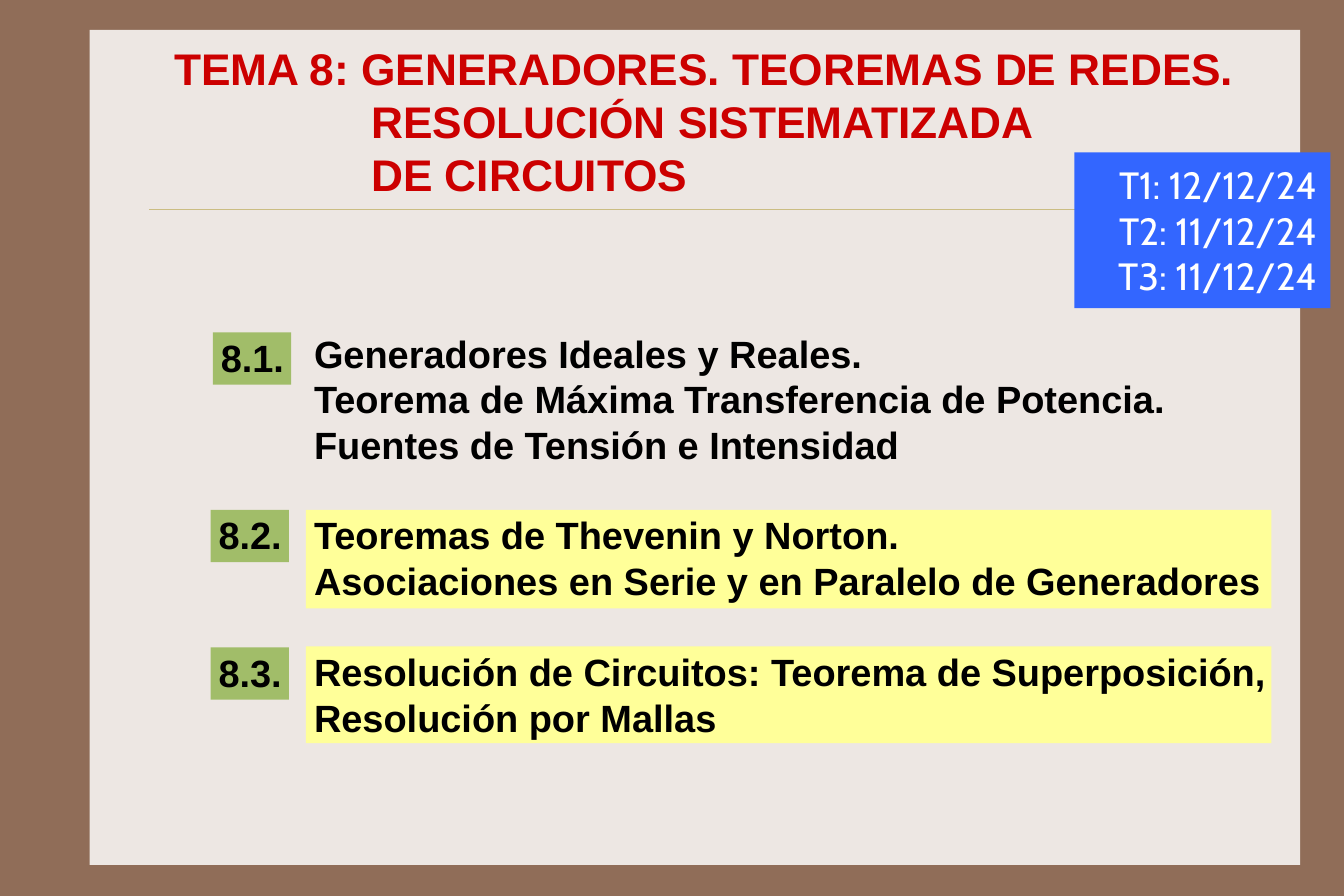
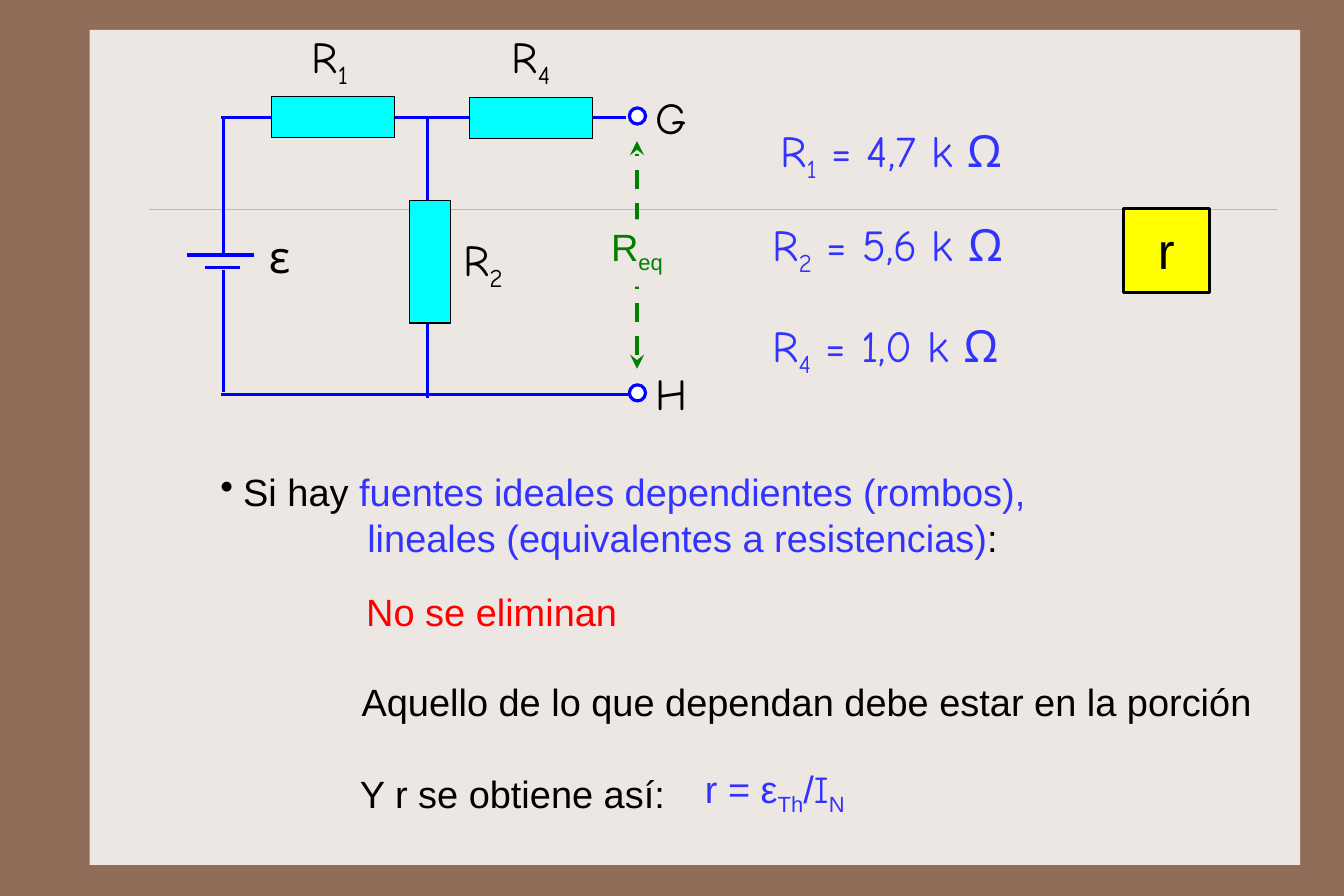
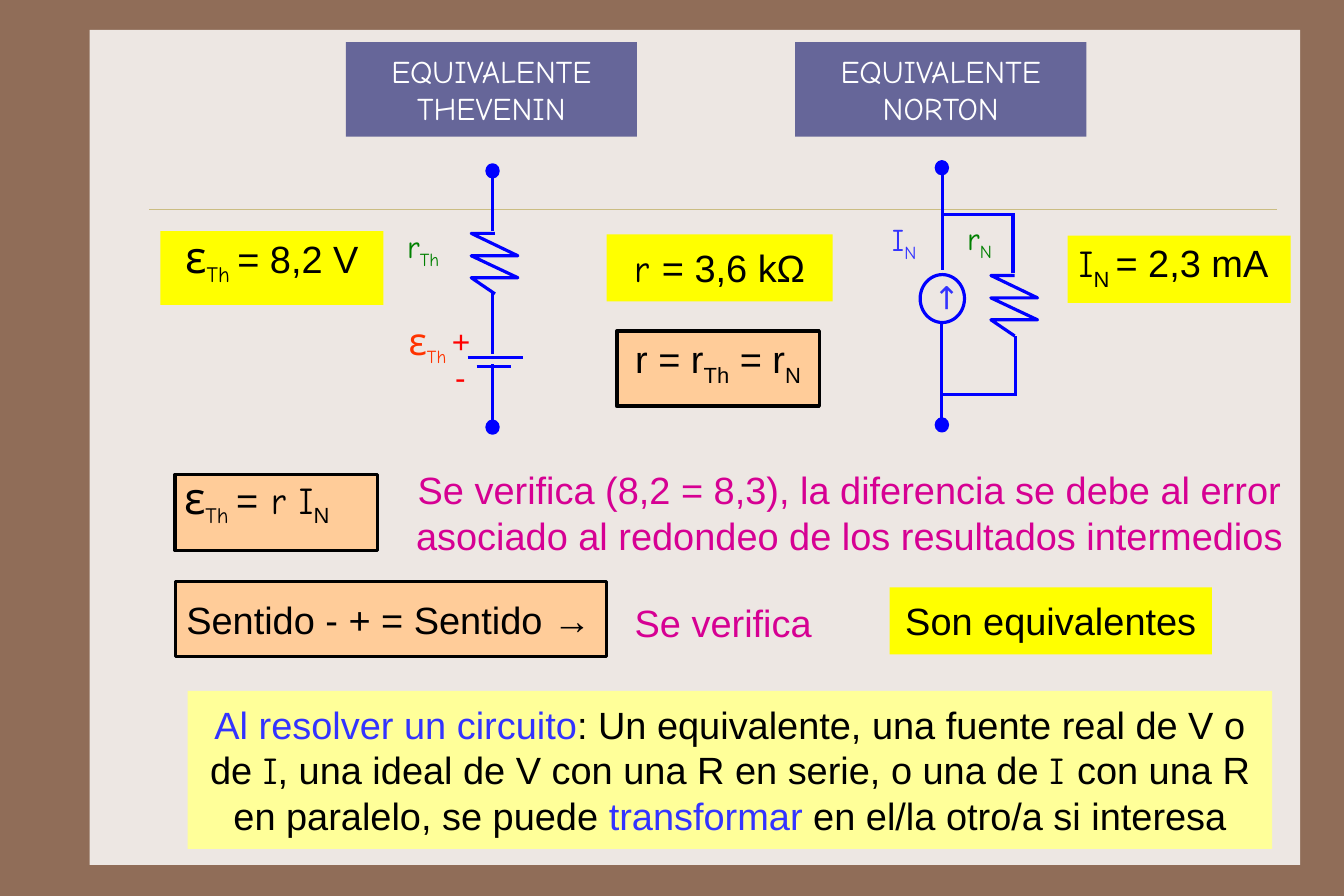
from dataclasses import dataclass
from typing import NamedTuple, Optional, Union

from lxml.etree import SubElement
from pptx import Presentation
from pptx.dml.color import RGBColor
from pptx.enum.dml import MSO_LINE
from pptx.enum.shapes import MSO_CONNECTOR, MSO_SHAPE
from pptx.enum.text import MSO_ANCHOR, PP_ALIGN
from pptx.oxml.ns import qn
from pptx.util import Cm, Pt

BROWN = RGBColor(0x90, 0x6D, 0x58)
CREAM = RGBColor(0xED, 0xE7, 0xE3)
SAND = RGBColor(0xCB, 0xBD, 0x83)
PALE = RGBColor(0xFF, 0xFF, 0x99)
LEAF = RGBColor(0xA1, 0xBD, 0x69)
BLACK = RGBColor(0, 0, 0)
WHITE = RGBColor(0xFF, 0xFF, 0xFF)
DARK_RED = RGBColor(0xCC, 0, 0)
RED = RGBColor(0xFF, 0, 0)
ORANGE = RGBColor(0xFF, 0x33, 0)
SKY = RGBColor(0x33, 0x66, 0xFF)
BLUE = RGBColor(0, 0, 0xFF)
INDIGO = RGBColor(0x33, 0x33, 0xFF)
SLATE = RGBColor(0x66, 0x66, 0x99)
CYAN = RGBColor(0, 0xFF, 0xFF)
GREEN = RGBColor(0, 0x80, 0)
YELLOW = RGBColor(0xFF, 0xFF, 0)
PEACH = RGBColor(0xFF, 0xCC, 0x99)
PINK = RGBColor(0xD6, 0, 0x93)

ARIAL, CABIN, COMIC = "Arial", "Cabin", "Comic Neue"
LEFT, CENTER, RIGHT = PP_ALIGN.LEFT, PP_ALIGN.CENTER, PP_ALIGN.RIGHT
RECT, OVAL = MSO_SHAPE.RECTANGLE, MSO_SHAPE.OVAL
WIDE = (0.25, 0.23, 0.25, 0.23)
SLIM = (0.23, 0.13, 0.23, 0.13)
TIGHT = (0.2, 0.1, 0.2, 0.1)
LOW = (0.25, 0.25, 0.25, 0.41)


class Area(NamedTuple):
    x: float
    y: float
    w: float
    h: float


class Wire(NamedTuple):
    x1: float
    y1: float
    x2: float
    y2: float


@dataclass(frozen=True)
class Bit:
    text: str
    ink: Optional[RGBColor] = None
    font: Optional[str] = None
    size: Optional[float] = None
    sub: bool = False


@dataclass(frozen=True)
class Line:
    bits: tuple
    left: float = 0
    hang: float = 0


@dataclass(frozen=True)
class Topic:
    mark: str
    spot: Area
    area: Area
    lines: tuple
    fill: Optional[RGBColor] = PALE


@dataclass(frozen=True)
class Note:
    area: Area
    bits: tuple
    fill: Optional[RGBColor] = YELLOW
    edge: Optional[RGBColor] = None
    thick: float = 2.25
    pad: tuple = WIDE
    mid: bool = False
    align: PP_ALIGN = CENTER
    ink: RGBColor = BLACK


def sub(text: str, **form) -> Bit:
    return Bit(text, sub=True, **form)


def write(frame, *lines: Union[str, tuple, Line], size: float = 24,
          ink: RGBColor = BLACK, font: str = ARIAL, bold: bool = False,
          align: PP_ALIGN = LEFT, mid: bool = False, pad: tuple = WIDE) -> None:
    frame.word_wrap = True
    frame.vertical_anchor = MSO_ANCHOR.MIDDLE if mid else MSO_ANCHOR.TOP
    (frame.margin_left, frame.margin_top,
     frame.margin_right, frame.margin_bottom) = map(Cm, pad)
    for index, line in enumerate(lines):
        if isinstance(line, str):
            line = (Bit(line),)
        if not isinstance(line, Line):
            line = Line(line)
        para = frame.add_paragraph() if index else frame.paragraphs[0]
        para.alignment = align
        para.line_spacing = Pt(size * 1.2)
        props = para._p.get_or_add_pPr()
        if line.left:
            props.set("marL", str(Cm(line.left)))
        if line.hang:
            props.set("indent", str(-Cm(line.hang)))
            SubElement(props, qn("a:buChar")).set("char", "•")
        for bit in line.bits:
            run = para.add_run()
            run.text = bit.text
            run.font.size = Pt(bit.size or size)
            run.font.name = bit.font or font
            run.font.bold = bold
            run.font.color.rgb = bit.ink or ink
            if bit.sub:
                run._r.get_or_add_rPr().set("baseline", "-25000")


def paint(shape, fill: Optional[RGBColor], edge: Optional[RGBColor],
          thick: float) -> None:
    shape.shadow.inherit = False
    if fill is None:
        shape.fill.background()
    else:
        shape.fill.solid()
        shape.fill.fore_color.rgb = fill
    if edge is None:
        shape.line.fill.background()
    else:
        shape.line.color.rgb = edge
        shape.line.width = Pt(thick)


def block(slide, area: Area, *lines, fill: Optional[RGBColor] = None,
          edge: Optional[RGBColor] = None, thick: float = 2, kind=RECT, **form):
    shape = slide.shapes.add_shape(kind, *map(Cm, area))
    paint(shape, fill, edge, thick)
    if lines:
        write(shape.text_frame, *lines, **form)
    return shape


def label(slide, area: Area, *lines, **form):
    shape = slide.shapes.add_textbox(*map(Cm, area))
    write(shape.text_frame, *lines, **form)
    return shape


def link(slide, wire: Wire, ink: RGBColor = BLUE, thick: float = 2):
    line = slide.shapes.add_connector(MSO_CONNECTOR.STRAIGHT, *map(Cm, wire))
    line.line.color.rgb = ink
    line.line.width = Pt(thick)
    SubElement(line._element.spPr, qn("a:effectLst"))
    return line


def arrow(slide, wire: Wire, ink: RGBColor, thick: float) -> None:
    line = link(slide, wire, ink, thick)
    line.line.dash_style = MSO_LINE.DASH
    props = line.line._get_or_add_ln()
    for end in ("a:headEnd", "a:tailEnd"):
        SubElement(props, qn(end)).set("type", "stealth")


def zigzag(slide, x: float, y: float) -> None:
    steps = ((0.53, 1.35), (0, 0.99), (1.04, 0.99), (0, 0.5),
             (1.04, 0.5), (0, 0), (0.53, 0))
    spots = [(Cm(x + dx), Cm(y + dy)) for dx, dy in steps]
    pen = slide.shapes.build_freeform(*spots[0])
    pen.add_line_segments(spots[1:], close=False)
    paint(pen.convert_to_shape(), None, BLUE, 2)


def frame_all(deck, layout, slide) -> None:
    fill = deck.slide_master.background.fill
    fill.solid()
    fill.fore_color.rgb = BROWN
    tree = layout.shapes._spTree
    for item in list(layout.placeholders):
        tree.remove(item._element)
    page = block(slide, Area(2, 0.67, 27.02, 18.64), fill=CREAM)
    rule = link(slide, Wire(3.33, 4.67, 28.5, 4.67), SAND, 0.25)
    for part in (page, rule):
        tree.append(part._element)


def index_page(slide) -> None:
    topics = (
        Topic("8.1.", Area(4.75, 7.42, 1.75, 1.17), Area(6.83, 7.32, 21.55, 3.2),
              ("Generadores Ideales y Reales.",
               "Teorema de Máxima Transferencia de Potencia. "
               "Fuentes de Tensión e Intensidad"), None),
        Topic("8.2.", Area(4.7, 11.38, 1.75, 1.17), Area(6.83, 11.38, 21.55, 2.2),
              ("Teoremas de Thevenin y Norton.",
               "Asociaciones en Serie y en Paralelo de Generadores")),
        Topic("8.3.", Area(4.7, 14.45, 1.75, 1.17), Area(6.83, 14.43, 21.55, 2.16),
              ("Resolución de Circuitos: Teorema de Superposición,",
               "Resolución por Mallas")),
    )
    for topic in topics:
        block(slide, topic.spot, topic.mark, fill=LEAF, bold=True,
              pad=(0.18, 0.05, 0, 0))
        block(slide, topic.area, *topic.lines, fill=topic.fill, bold=True,
              pad=(0.18, 0.05, 0, 0))
    label(slide, Area(3.61, 0.76, 24.7, 3.86),
          "TEMA 8: GENERADORES. TEOREMAS DE REDES.",
          Line((Bit("RESOLUCIÓN SISTEMATIZADA"),), left=4.4),
          Line((Bit("DE CIRCUITOS"),), left=4.4),
          size=28, ink=DARK_RED, bold=True, mid=True, pad=(0.28, 0.13, 0.28, 0.13))
    block(slide, Area(23.98, 3.4, 5.72, 3.48),
          "T1: 12/12/24", "T2: 11/12/24", "T3: 11/12/24",
          fill=SKY, ink=WHITE, font=CABIN, align=RIGHT, mid=True,
          pad=(0.3, 0.2, 0.3, 0.2))


def mesh_page(slide) -> None:
    for wire in (Wire(14.2, 8.81, 4.93, 8.81), Wire(13.97, 2.62, 4.93, 2.62),
                 Wire(9.55, 8.89, 9.55, 2.59), Wire(4.98, 8.76, 4.98, 6.02),
                 Wire(4.98, 5.72, 4.98, 2.59), Wire(4.17, 5.69, 5.66, 5.69),
                 Wire(4.57, 5.97, 5.36, 5.97)):
        link(slide, wire)
    for area in (Area(6.07, 2.16, 2.74, 0.91), Area(10.49, 2.18, 2.74, 0.91),
                 Area(9.14, 4.47, 0.91, 2.74)):
        block(slide, area, fill=CYAN, edge=BLACK, thick=0.75)
    for x, y, bits in ((6.05, 0.69, (Bit("R"), sub("1"))),
                       (10.54, 0.69, (Bit("R"), sub("4"))),
                       (9.47, 5.21, (Bit("R"), sub("2"))),
                       (4.93, 4.98, (Bit("ε"),))):
        label(slide, Area(x, y, 2.62, 1.63), bits, size=28, font=COMIC,
              align=CENTER, pad=SLIM)
    for name, y, ring in (("G", 1.88, 2.41), ("H", 8.05, 8.59)):
        label(slide, Area(14.4, y, 1.45, 1.35), name, size=28, font=COMIC, pad=SLIM)
        block(slide, Area(14.05, ring, 0.36, 0.36), fill=WHITE, edge=BLUE, kind=OVAL)
    for x, y, mark, value in ((16.51, 2.79, "1", "4,7"), (16.43, 4.88, "2", "5,6"),
                              (16.38, 7.14, "4", "1,0")):
        label(slide, Area(x, y, 6.76, 1.63),
              (Bit("R"), sub(mark), Bit(f" = {value} k Ω")),
              size=28, ink=INDIGO, font=COMIC, align=CENTER, pad=SLIM)
    arrow(slide, Wire(14.22, 8.23, 14.22, 3.15), GREEN, 3)
    block(slide, Area(13.39, 4.9, 1.75, 1.5), (Bit("R"), sub("eq")),
          fill=CREAM, ink=GREEN, pad=(0.25, 0.23, 0, 0.23))
    block(slide, Area(25.07, 4.65, 1.93, 1.88), "r", fill=YELLOW, edge=BLACK,
          size=32, align=CENTER)
    label(slide, Area(4.67, 10.24, 21.7, 2.51),
          Line((Bit("Si hay "),
                Bit("fuentes ideales dependientes (rombos),", INDIGO)), 0.51, 0.51),
          Line((Bit("lineales (equivalentes a resistencias)", INDIGO), Bit(":")), 3.28))
    for area, ink, bits in (
            (Area(7.61, 12.9, 6.73, 1.5), RED, (Bit("No se eliminan"),)),
            (Area(7.21, 14.91, 21.59, 1.5), BLACK,
             (Bit("Aquello de lo que dependan debe estar en la porción"),)),
            (Area(7.49, 16.97, 7.9, 1.5), BLACK, (Bit("Y r se obtiene así:"),)),
            (Area(15.1, 16.99, 4.39, 1.5), INDIGO,
             (Bit("r = ε"), sub("Th"), Bit("/"), Bit("I", font=COMIC), sub("N")))):
        label(slide, area, bits, ink=ink, align=CENTER)


def pair_page(slide) -> None:
    for x, name in ((7.72, "THEVENIN"), (17.75, "NORTON")):
        block(slide, Area(x, 0.94, 6.5, 2.11), f"EQUIVALENTE {name}", fill=SLATE,
              size=20, ink=WHITE, font=COMIC, align=CENTER, mid=True,
              pad=(0.2, 0.2, 0.2, 0.2))
    for wire in (Wire(10.44, 7.98, 11.68, 7.98), Wire(10.64, 8.18, 11.4, 8.18),
                 Wire(11, 7.9, 11, 6.55), Wire(11, 8.13, 11, 9.47),
                 Wire(11, 5.16, 11, 3.81), Wire(22.66, 8.84, 22.66, 7.49),
                 Wire(22.66, 8.81, 21.01, 8.81), Wire(22.61, 6.1, 22.61, 4.75),
                 Wire(22.66, 4.78, 21.01, 4.78), Wire(21.03, 6.02, 21.03, 3.76),
                 Wire(21.01, 7.24, 21.01, 9.5)):
        link(slide, wire)
    for x, y in ((10.52, 5.21), (22.12, 6.15)):
        zigzag(slide, x, y)
    for x, y in ((10.87, 3.68), (10.87, 9.4), (20.9, 3.61), (20.9, 9.35)):
        block(slide, Area(x, y, 0.25, 0.27), fill=BLUE, edge=BLUE, kind=OVAL)
    block(slide, Area(20.54, 6.13, 0.99, 1.07), edge=BLUE, kind=OVAL)
    tip = label(slide, Area(20.55, 6.15, 0.99, 0.99), "→", size=20, ink=INDIGO,
                font=COMIC, align=CENTER, pad=(0, 0.1, 0, 0))
    tip.rotation = 270
    for x, y, ink, bits in (
            (8.92, 7.24, ORANGE, (Bit("ε", size=24), sub("Th"))),
            (8.89, 5.08, GREEN, (Bit("r"), sub("Th"))),
            (21.39, 4.9, GREEN, (Bit("r"), sub("N"))),
            (19.71, 4.93, INDIGO, (Bit("I"), sub("N")))):
        label(slide, Area(x, y, 1.5, 1.07), bits, size=20, ink=ink, font=COMIC, pad=TIGHT)
    for x, y, sign in ((9.86, 7.06, "+"), (9.93, 7.85, "-")):
        label(slide, Area(x, y, 0.91, 1.12), sign, size=20, ink=RED, pad=SLIM)

    amp = Bit("I", font=COMIC)
    volt = (Bit("ε", font=COMIC, size=28), sub("Th ", font=COMIC))
    notes = (
        Note(Area(3.58, 5.16, 4.98, 1.65), (*volt, Bit("= 8,2 V"))),
        Note(Area(13.54, 5.23, 5.05, 1.5), (Bit("r ", font=COMIC), Bit("= 3,6 kΩ"))),
        Note(Area(23.83, 5.26, 4.98, 1.5), (amp, sub("N "), Bit("= 2,3 mA")), align=LEFT),
        Note(Area(13.77, 7.39, 4.52, 1.68),
             (Bit("r = r"), sub("Th"), Bit(" = r"), sub("N")),
             PEACH, BLACK, pad=LOW, mid=True),
        Note(Area(3.91, 10.59, 4.52, 1.7),
             (*volt, Bit("="), Bit(" r I", font=COMIC), sub("N")),
             PEACH, BLACK, pad=(0.2, 0.1, 0.2, 0.41), mid=True, align=LEFT),
        Note(Area(8.94, 10.19, 20.04, 2.51),
             (Bit("Se verifica (8,2 = 8,3), la diferencia se debe al error "
                  "asociado al redondeo de los resultados intermedios"),),
             None, ink=PINK),
        Note(Area(3.91, 12.98, 9.63, 1.68), (Bit("Sentido - + = Sentido →"),),
             PEACH, BLACK, 2, mid=True, align=LEFT),
        Note(Area(13.54, 13.16, 5.21, 1.5), (Bit("Se verifica"),), None, ink=PINK),
        Note(Area(19.86, 13.11, 7.19, 1.5), (Bit("Son equivalentes"),)),
        Note(Area(4.19, 15.42, 24.21, 3.53),
             (Bit("Al resolver un circuito", INDIGO),
              Bit(": Un equivalente, una fuente real de V o de "), amp,
              Bit(", una ideal de V con una R en serie, o una de "),
              Bit("I ", font=COMIC), Bit("con una R en paralelo, se puede "),
              Bit("transformar", INDIGO), Bit(" en el/la otro/a si interesa")), PALE),
    )
    for note in notes:
        block(slide, note.area, note.bits, fill=note.fill, edge=note.edge,
              thick=note.thick, pad=note.pad, mid=note.mid, align=note.align,
              ink=note.ink)


def main() -> None:
    deck = Presentation()
    deck.slide_width, deck.slide_height = Cm(30), Cm(20)
    layout = deck.slide_layouts[6]
    for index, draw in enumerate((index_page, mesh_page, pair_page)):
        slide = deck.slides.add_slide(layout)
        if not index:
            frame_all(deck, layout, slide)
        draw(slide)
    deck.save("out.pptx")


if __name__ == "__main__":
    main()
